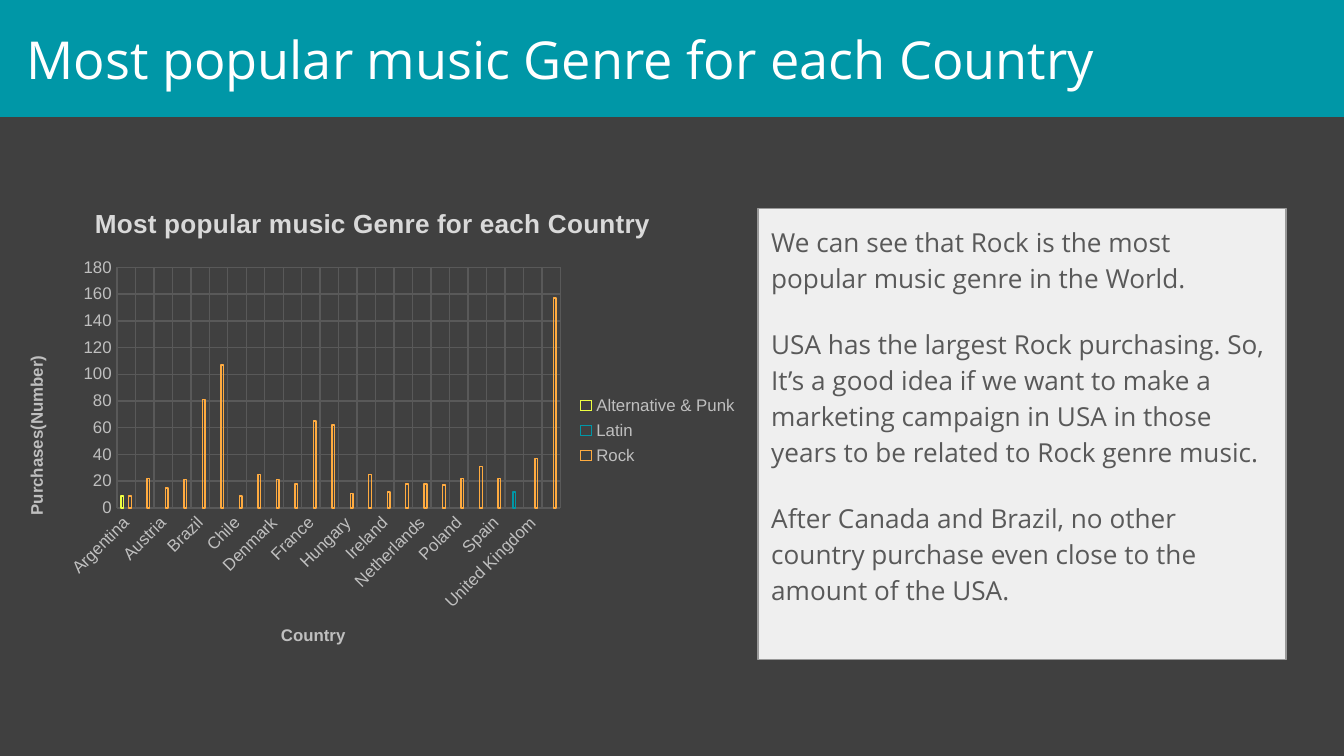
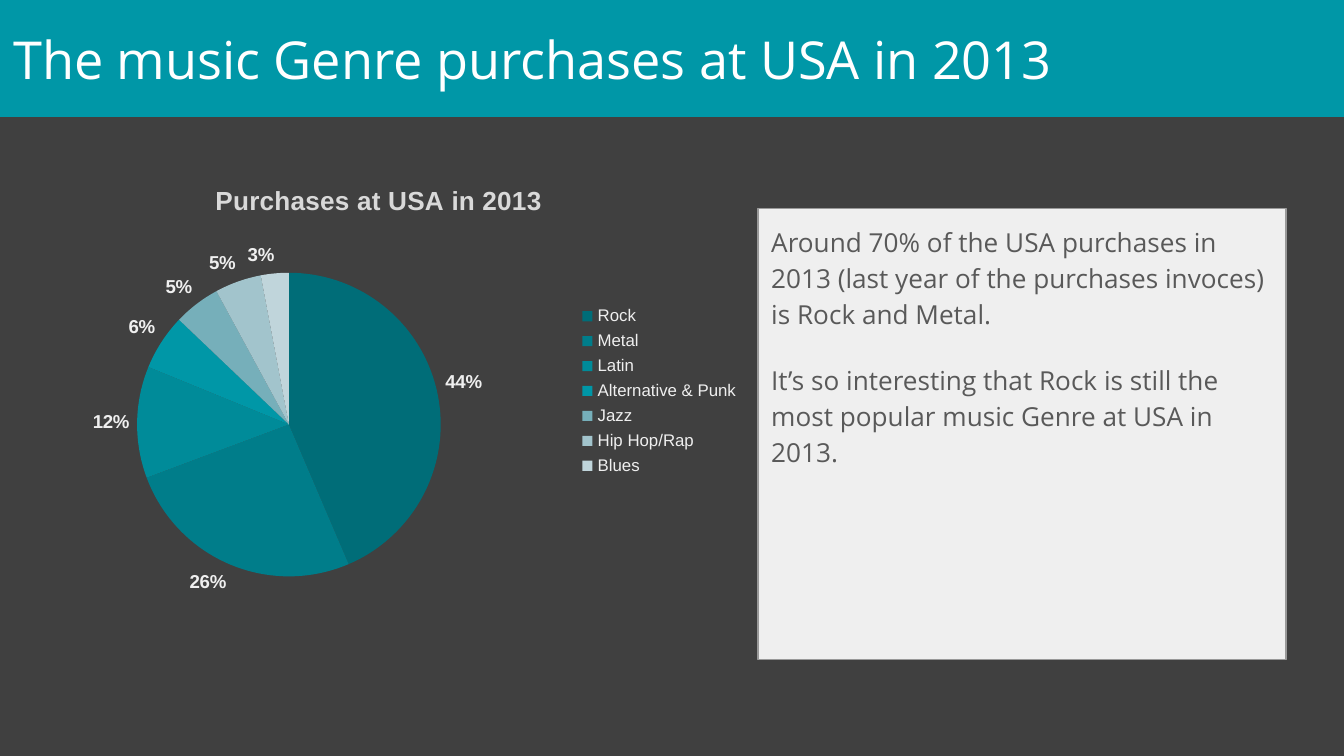
from dataclasses import dataclass

from lxml import etree
from pptx import Presentation
from pptx.chart.data import CategoryChartData
from pptx.dml.color import RGBColor
from pptx.enum.chart import (XL_CHART_TYPE, XL_LABEL_POSITION,
                             XL_LEGEND_POSITION, XL_TICK_MARK)
from pptx.enum.shapes import MSO_SHAPE
from pptx.enum.text import MSO_ANCHOR, PP_ALIGN
from pptx.oxml.ns import qn
from pptx.util import Inches, Pt

# Shared look
DARK, TEAL, PANEL, EDGE = "404040", "0097A7", "EFEFEF", "999999"
WHITE, BODY, HEAD, AXIS, GRID = "FFFFFF", "595959", "D9D9D9", "BFBFBF", "595959"
TEXT_FONT, CHART_FONT = "Open Sans", "Arial"


@dataclass
class Box:
    left: float
    top: float
    width: float
    height: float

    def place(self) -> tuple:
        return tuple(Inches(v) for v in
                     (self.left, self.top, self.width, self.height))


@dataclass
class Genre:
    name: str
    color: str
    counts: list


@dataclass
class Page:
    title: str
    inset: float
    notes: list


BAND = Box(0, 0, 10, 0.87)
SIDE = Box(5.64, 1.55, 3.93, 3.36)

RANK = Page("Most popular music Genre for each Country", 0.2, [
    "We can see that Rock is the most popular music genre in the World.",
    "USA has the largest Rock purchasing. So, It’s a good idea if we want to "
    "make a marketing campaign in USA in those years to be related to Rock "
    "genre music.",
    "After Canada and Brazil, no other country purchase even close to the "
    "amount of the USA.",
])
SHARE = Page("The music Genre purchases at USA in 2013", 0.1, [
    "Around 70% of the USA purchases in 2013 (last year of the purchases "
    "invoces) is Rock and Metal.",
    "It’s so interesting that Rock is still the most popular music Genre at "
    "USA in 2013.",
])

LANDS = ["Argentina", "Australia", "Austria", "Belgium", "Brazil", "Canada",
         "Chile", "Czech Republic", "Denmark", "Finland", "France", "Germany",
         "Hungary", "India", "Ireland", "Italy", "Netherlands", "Norway",
         "Poland", "Portugal", "Spain", "Sweden", "United Kingdom", "USA"]
ROCK = [9, 22, 15, 21, 81, 107, 9, 25, 21, 18, 65, 62,
        11, 25, 12, 18, 18, 17, 22, 31, 22, None, 37, 157]


def only(land: str, count: int) -> list:
    return [count if name == land else None for name in LANDS]


GENRES = [Genre("Alternative & Punk", "EEFF41", only("Argentina", 9)),
          Genre("Latin", TEAL, only("Sweden", 12)),
          Genre("Rock", "FFAB40", ROCK)]

SLICES = [("Rock", 44, "006D78"), ("Metal", 26, "007D8A"),
          ("Latin", 12, "008B99"), ("Alternative & Punk", 6, TEAL),
          ("Jazz", 5, "76AFBA"), ("Hip Hop/Rap", 5, "A2C4CC"),
          ("Blues", 3, "C0D5DB")]


def rgb(color: str) -> RGBColor:
    return RGBColor.from_string(color)


def paint(fill, color: str) -> None:
    fill.solid()
    fill.fore_color.rgb = rgb(color)


def style(font, size: float, color: str, face: str, bold: bool = False) -> None:
    font.size, font.name, font.bold = Pt(size), face, bold
    font.color.rgb = rgb(color)


# Title band and side panel
def add_box(slide, box: Box, color: str, inset: float = 0.1):
    shape = slide.shapes.add_shape(MSO_SHAPE.RECTANGLE, *box.place())
    shape.shadow.inherit = False
    paint(shape.fill, color)
    shape.line.fill.background()
    frame = shape.text_frame
    frame.word_wrap = True
    frame.margin_left = Inches(inset)
    frame.margin_right = frame.margin_top = frame.margin_bottom = Inches(0.1)
    return shape


def add_page(deck, page: Page):
    slide = deck.slides.add_slide(deck.slide_layouts[6])
    paint(slide.background.fill, DARK)

    band = add_box(slide, BAND, TEAL, page.inset).text_frame
    band.vertical_anchor = MSO_ANCHOR.MIDDLE
    band.text = page.title
    band.paragraphs[0].alignment = PP_ALIGN.LEFT
    style(band.paragraphs[0].runs[0].font, 28, WHITE, TEXT_FONT)

    side = add_box(slide, SIDE, PANEL)
    side.line.color.rgb = rgb(EDGE)
    side.line.width = Pt(0.75)
    frame = side.text_frame
    frame.vertical_anchor = MSO_ANCHOR.TOP
    frame.text = "\n".join(page.notes)
    for para in frame.paragraphs:
        para.alignment = PP_ALIGN.LEFT
        para.line_spacing = 1.15
        para.space_after = Pt(16)
        style(para.runs[0].font, 14, BODY, TEXT_FONT)
    return slide


# Chart helpers
def set_place(node, index: int, **spots) -> None:
    """Set a manual layout, as fractions of the chart, on a chart part."""
    for old in node.findall(qn("c:layout")):
        node.remove(old)
    layout = etree.Element(qn("c:layout"))
    manual = etree.SubElement(layout, qn("c:manualLayout"))
    marks = {"xMode": "edge", "yMode": "edge", **spots}
    if "w" in spots:
        marks = {"layoutTarget": "inner", **marks}
    for key, value in marks.items():
        etree.SubElement(manual, qn(f"c:{key}")).set("val", str(value))
    node.insert(index, layout)


def set_title(title, text: str, size: float, color: str,
              x: float, y: float) -> None:
    title.text_frame.text = text
    style(title.text_frame.paragraphs[0].runs[0].font,
          size, color, CHART_FONT, True)
    set_place(title._element, 1, x=x, y=y)


def add_chart(slide, kind, box: Box, data, plot: Box, color: str):
    """Add a chart; plot is measured in inches from the chart's corner."""
    chart = slide.shapes.add_chart(kind, *box.place(), data).chart
    style(chart.font, 10, color, CHART_FONT)
    chart.has_title = True
    chart.has_legend = True
    chart.legend.position = XL_LEGEND_POSITION.RIGHT
    chart.legend.include_in_layout = False
    style(chart.legend.font, 9, color, CHART_FONT)
    root = chart._chartSpace
    set_place(root.find(".//" + qn("c:plotArea")), 0,
              x=plot.left / box.width, y=plot.top / box.height,
              w=plot.width / box.width, h=plot.height / box.height)
    # Chart background
    back = etree.Element(qn("c:spPr"))
    fill = etree.SubElement(back, qn("a:solidFill"))
    etree.SubElement(fill, qn("a:srgbClr")).set("val", DARK)
    etree.SubElement(etree.SubElement(back, qn("a:ln")), qn("a:noFill"))
    root.find(qn("c:chart")).addnext(back)
    return chart


def set_axis(axis, text: str, x: float, y: float) -> None:
    axis.major_tick_mark = axis.minor_tick_mark = XL_TICK_MARK.NONE
    axis.format.line.fill.background()
    axis.has_major_gridlines = True
    grid = axis.major_gridlines.format.line
    grid.color.rgb = rgb(GRID)
    grid.width = Pt(0.75)
    style(axis.tick_labels.font, 9, AXIS, CHART_FONT)
    axis.has_title = True
    set_title(axis.axis_title, text, 9, AXIS, x, y)


def add_bars(slide) -> None:
    data = CategoryChartData()
    data.categories = LANDS
    for genre in GENRES:
        data.add_series(genre.name, genre.counts)
    chart = add_chart(slide, XL_CHART_TYPE.COLUMN_CLUSTERED,
                      Box(0, 1.39, 5.59, 3.63), data,
                      Box(0.87, 0.6, 3.3, 1.79), AXIS)
    set_title(chart.chart_title, RANK.title, 14, HEAD, 0.12, 0.03)
    set_axis(chart.category_axis, "Country", 0.37, 0.89)
    set_axis(chart.value_axis, "Purchases(Number)", 0.03, 0.34)
    chart.value_axis.minimum_scale = 0
    chart.value_axis.maximum_scale = 180
    chart.value_axis.major_unit = 20
    # Slanted country names
    text = chart.category_axis._element.find(qn("c:txPr"))
    text.find(qn("a:bodyPr")).set("rot", "-2700000")

    plot = chart.plots[0]
    plot.vary_by_categories = False
    plot.gap_width, plot.overlap = 315, -40
    for series, genre in zip(plot.series, GENRES):
        series.invert_if_negative = False
        series.format.fill.background()
        series.format.line.color.rgb = rgb(genre.color)
        series.format.line.width = Pt(0.75)


def add_pie(slide) -> None:
    names, counts, colors = zip(*SLICES)
    data = CategoryChartData()
    data.categories = names
    data.add_series("Series 1", counts)
    chart = add_chart(slide, XL_CHART_TYPE.PIE, Box(0, 1.23, 5.6, 3.36), data,
                      Box(1.02, 0.8, 2.26, 2.26), PANEL)
    set_title(chart.chart_title, "Purchases at USA in 2013", 14, HEAD,
              0.28, 0.03)
    plot = chart.plots[0]
    plot.vary_by_categories = True
    for index, color in enumerate(colors):
        look = plot.series[0].points[index].format
        paint(look.fill, color)
        look.line.fill.background()
    labels = plot.series[0].data_labels
    labels.show_value = False
    labels.show_percentage = True
    labels.number_format = "0%"
    labels.number_format_is_linked = False
    labels.position = XL_LABEL_POSITION.OUTSIDE_END
    style(labels.font, 10, PANEL, CHART_FONT, True)


def main() -> None:
    deck = Presentation()
    # Widescreen, 16 to 9
    deck.slide_width = Inches(10)
    deck.slide_height = Inches(10) * 9 // 16
    add_bars(add_page(deck, RANK))
    add_pie(add_page(deck, SHARE))
    deck.save("out.pptx")


if __name__ == "__main__":
    main()
